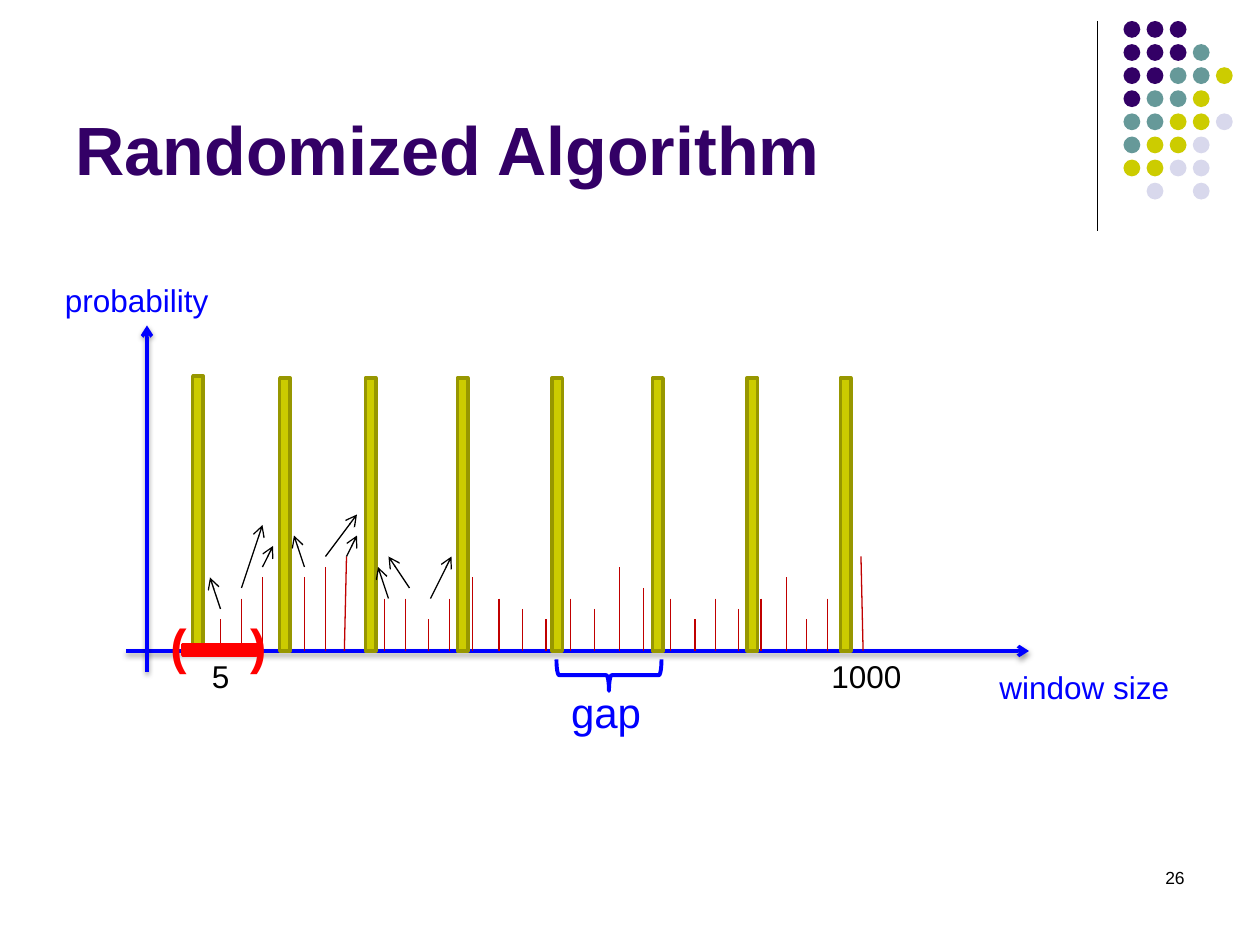
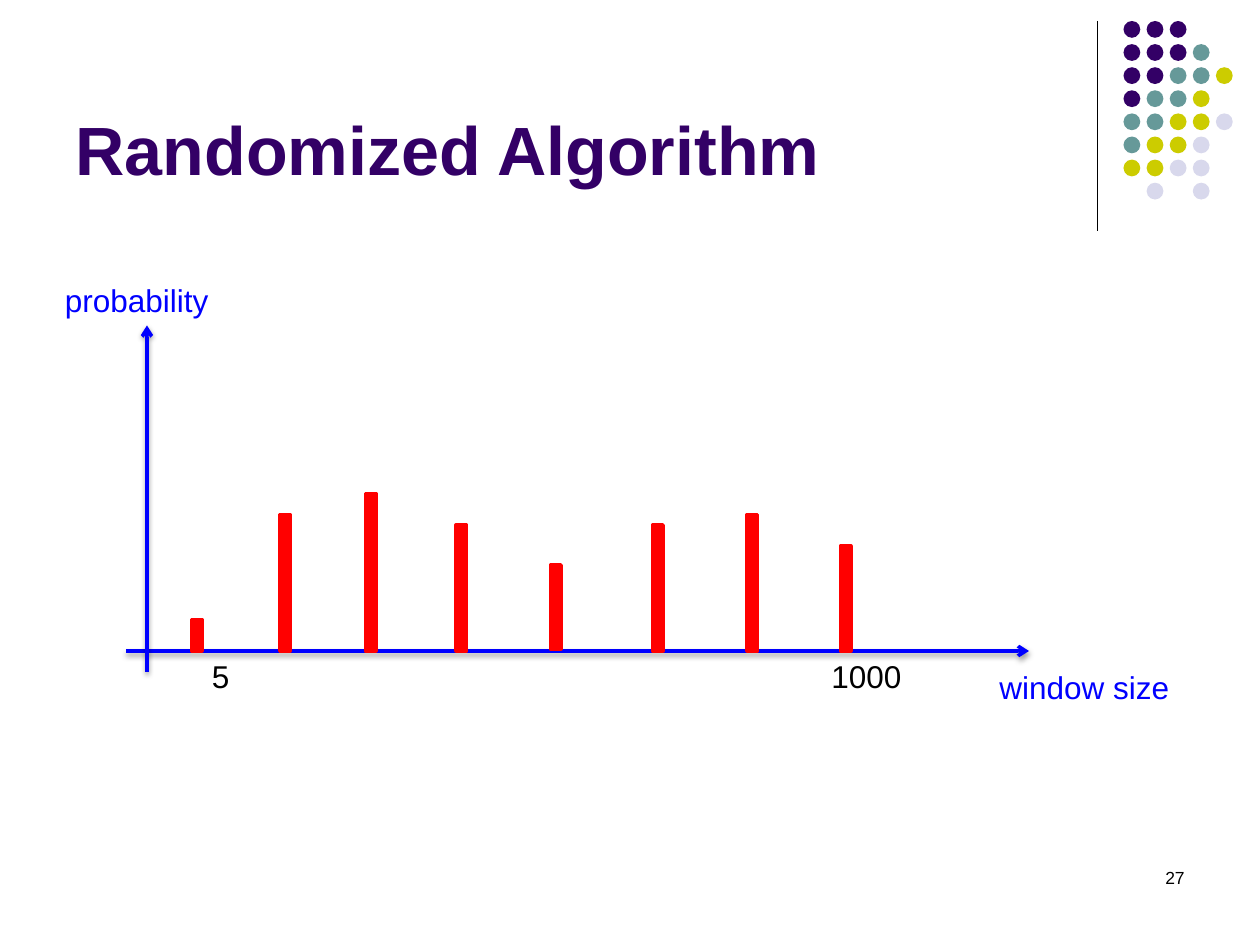
import pptx
import pptx.dml.color
import pptx.enum.shapes
import pptx.enum.text
import pptx.oxml
import pptx.oxml.ns
import pptx.util
import lxml.etree

RGBColor = pptx.dml.color.RGBColor
PURPLE = RGBColor(0x33, 0x00, 0x66)
TEAL = RGBColor(0x66, 0x99, 0x99)
YELLOW = RGBColor(0xCC, 0xCC, 0x00)
OLIVE = RGBColor(0x97, 0x97, 0x00)
LILAC = RGBColor(0xD8, 0xD8, 0xEC)
BLUE = RGBColor(0x00, 0x00, 0xFF)
RED = RGBColor(0xFF, 0x00, 0x00)
DARK_RED = RGBColor(0xC0, 0x00, 0x00)
BLACK = RGBColor(0x00, 0x00, 0x00)

FONT = "Arial"
CELLS_PER_INCH = 12  # the slide is a grid of 120 columns and 90 rows
BASELINE = 62
BAR_WIDTH = 1
SHAPES = pptx.enum.shapes.MSO_SHAPE
ALIGN = pptx.enum.text.PP_ALIGN

DOT_COLORS = {"P": PURPLE, "T": TEAL, "Y": YELLOW, "L": LILAC}
DOT_ROWS = ["PPP", "PPPT", "PPTTY", "PTTY", "TTYYL", "TYYL", "YYLL", " L L"]
DOT_PITCH, DOT_SIZE = 2.2, 1.6

# (column, height) of each upright tick
TICKS = [
    (21, 3), (23, 5), (25, 7), (29, 7), (31, 8), (36.6, 5), (38.64, 5),
    (40.8, 3), (42.84, 5), (45, 7), (47.52, 5), (49.8, 4), (52, 3),
    (54.36, 5), (56.64, 4), (59, 8), (61.32, 6), (63.84, 5), (66.2, 3),
    (68.16, 5), (70.32, 4), (72.48, 5), (74.88, 7), (76.8, 3), (78.84, 5),
]
# (top column, foot column, height) of each leaning tick
LEANING_TICKS = [(33, 32.8, 9), (80.4, 80.28, 6), (82, 82.2, 9)]
# (column, row) where each arrow starts and ends
ARROWS = [
    ((21, 58), (20, 55)), ((23, 56), (25, 50)), ((25, 54), (26, 52)),
    ((29, 54), (28, 51)), ((33, 53), (34, 51)), ((31, 53), (34, 49)),
    ((37, 57), (36, 54)), ((39, 56), (37, 53)), ((41, 57), (43, 53)),
]
EVEN_BAR_COLUMNS = [26.64, 34.8, 43.56, 52.56, 62.16, 71.16, 80.04]
# (column, top row, height) of each bar
UNEVEN_BARS = [
    (18.24, 59, 3), (26.64, 49, 13), (34.8, 47, 15), (43.44, 50, 12),
    (52.44, 53.8, 8), (62.16, 50, 12), (71.16, 49, 13), (80.04, 52, 10),
]


def cells(*counts):
    return [pptx.util.Inches(count / CELLS_PER_INCH) for count in counts]


def format_text(text_frame, size, color, bold=False, align=ALIGN.LEFT):
    text_frame.word_wrap = True
    for paragraph in text_frame.paragraphs:
        paragraph.alignment = align
        for run in paragraph.runs:
            run.font.name = FONT
            run.font.size = pptx.util.Pt(size)
            run.font.bold = bold
            run.font.color.rgb = color


def add_label(slide, text, box, size=18, color=BLACK, **style):
    label = slide.shapes.add_textbox(*cells(*box))
    label.text_frame.text = text
    format_text(label.text_frame, size, color, **style)


def add_shape(slide, kind, box, fill=None, line=None, width=2):
    shape = slide.shapes.add_shape(kind, *cells(*box))
    shape.shadow.inherit = False
    if fill is None:
        shape.fill.background()
    else:
        shape.fill.solid()
        shape.fill.fore_color.rgb = fill
    if line is None:
        shape.line.fill.background()
    else:
        shape.line.color.rgb = line
        shape.line.width = pptx.util.Pt(width)
    return shape


def add_line(slide, start, end, color=BLACK, width=0.75, arrow=False, shadow=False):
    line = slide.shapes.add_connector(
        pptx.enum.shapes.MSO_CONNECTOR.STRAIGHT, *cells(*start, *end))
    line.line.color.rgb = color
    line.line.width = pptx.util.Pt(width)
    qn = pptx.oxml.ns.qn
    properties = line.element.spPr
    if arrow:
        lxml.etree.SubElement(properties.find(qn("a:ln")), qn("a:tailEnd"), type="arrow")
    effects = lxml.etree.SubElement(properties, qn("a:effectLst"))
    if shadow:
        outer = lxml.etree.SubElement(
            effects, qn("a:outerShdw"), blurRad="39370", dist="20000",
            dir="5400000", rotWithShape="0")
        shade = lxml.etree.SubElement(outer, qn("a:srgbClr"), val="000000")
        lxml.etree.SubElement(shade, qn("a:alpha"), val="38000")
    return line


def move_decoration_to_layout(slide):
    """Draw the corner dots and rule, then keep them on the slide's layout."""
    decoration = [add_line(slide, (104.5, 2), (104.5, 22))]
    for row, pattern in enumerate(DOT_ROWS):
        for column, key in enumerate(pattern):
            if key in DOT_COLORS:
                box = (107 + column * DOT_PITCH, 2 + row * DOT_PITCH, DOT_SIZE, DOT_SIZE)
                decoration.append(add_shape(slide, SHAPES.OVAL, box, DOT_COLORS[key]))
    for shape in decoration:
        slide.slide_layout.shapes.element.append(shape.element)


def add_chart_slide(presentation, number):
    """Add a slide with title, number, axes and axis labels."""
    slide = presentation.slides.add_slide(presentation.slide_layouts[5])
    title = slide.shapes.title
    title.left, title.top, title.width, title.height = cells(6, 1.6, 99, 17)
    title.text_frame.text = "Randomized Algorithm"
    title.text_frame.auto_size = pptx.enum.text.MSO_AUTO_SIZE.NONE
    title.text_frame.vertical_anchor = pptx.enum.text.MSO_ANCHOR.BOTTOM
    format_text(title.text_frame, 39, PURPLE, bold=True)
    add_label(slide, str(number), (86, 82, 28, 6), size=10, align=ALIGN.RIGHT)
    for start, end in [((12, BASELINE), (98, BASELINE)), ((14, 64), (14, 31))]:
        add_line(slide, start, end, BLUE, 2, arrow=True, shadow=True)
    add_label(slide, "5", (19, BASELINE, 4, 5))
    add_label(slide, "1000", (78, BASELINE, 11, 4.8))
    add_label(slide, "window size", (94, 63, 19, 4.8), color=BLUE)
    add_label(slide, "probability", (5, 26.2, 19, 4.8), color=BLUE)
    return slide


def add_bars(slide, bars, fill, line):
    for column, top, height in bars:
        add_shape(slide, SHAPES.RECTANGLE, (column, top, BAR_WIDTH, height), fill, line)


def add_ticks(slide):
    upright = [(column, column, height) for column, height in TICKS]
    for top, foot, height in upright + LEANING_TICKS:
        add_line(slide, (top, BASELINE - height), (foot, BASELINE), DARK_RED)


def add_interval(slide):
    """Mark the range around the first bar with parentheses and a thick bar."""
    for text, column in [("(", 15.4), (")", 23)]:
        add_label(slide, text, (column, 58, 2, 6.8), 28, RED, bold=True)
    add_shape(slide, SHAPES.RECTANGLE, (17.4, 61.4, 7, 1), RED, RED)


def add_gap(slide):
    brace = add_shape(slide, SHAPES.LEFT_BRACE, (56.5, 59.3, 3, 10), line=BLUE, width=2.25)
    brace.rotation = 270
    add_label(slide, "gap", (53.2, 64.8, 10, 6), 24, BLUE)


def main():
    presentation = pptx.Presentation()
    presentation.slide_width, presentation.slide_height = cells(120, 90)

    even_slide = add_chart_slide(presentation, 26)
    move_decoration_to_layout(even_slide)
    add_ticks(even_slide)
    even_bars = [(18.36, 35.8, 26)] + [(column, 36, 26) for column in EVEN_BAR_COLUMNS]
    add_bars(even_slide, even_bars, YELLOW, OLIVE)
    add_interval(even_slide)
    add_gap(even_slide)
    for start, end in ARROWS:
        add_line(even_slide, start, end, arrow=True)

    uneven_slide = add_chart_slide(presentation, 27)
    add_bars(uneven_slide, UNEVEN_BARS, RED, RED)

    presentation.save("out.pptx")


if __name__ == "__main__":
    main()
